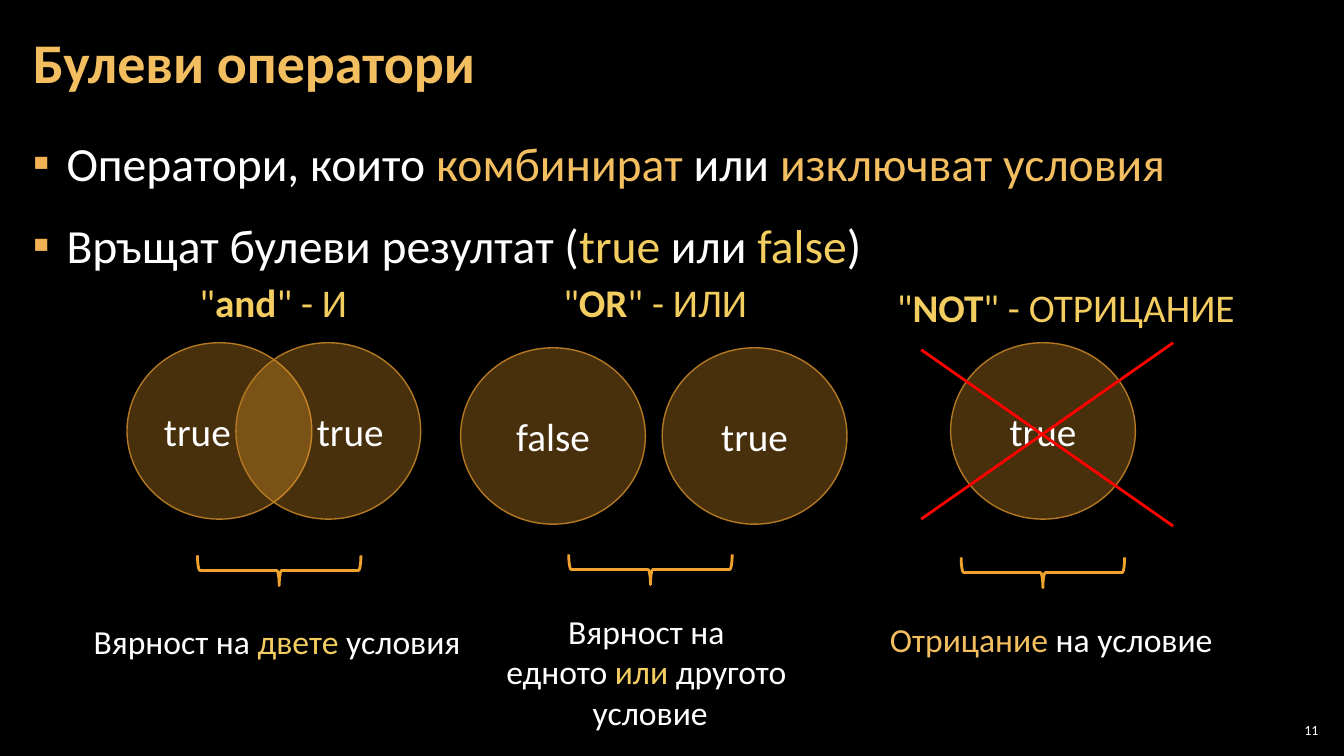
from pptx import Presentation, util as u
from pptx.dml import color
from pptx.enum import shapes, text
from pptx.oxml import parse_xml
from pptx.oxml import ns

Pt = u.Pt
HUES = {
    "back": "000000", "white": "FFFFFF", "gold": "F3BE60", "lemon": "F3CD60",
    "mark": "F2B254", "amber": "F0A22E", "rim": "B27822", "red": "FF0000",
}
LEFT, MID, RIGHT = (text.PP_ALIGN.LEFT, text.PP_ALIGN.CENTER, text.PP_ALIGN.RIGHT)
SHAPE = shapes.MSO_SHAPE


def rgb(name):
    return color.RGBColor.from_string(HUES[name])


def node(tag, inner="", **attrs):
    pairs = "".join(f' {key}="{val}"' for key, val in attrs.items())
    return parse_xml(f"<a:{tag} {ns.nsdecls('a')}{pairs}>{inner}</a:{tag}>")


class Deck:
    """Style and current slide; all lengths are in points."""
    font = "Calibri"

    def __init__(self, wide, high):
        self.prs = Presentation()
        self.prs.slide_width, self.prs.slide_height = Pt(wide), Pt(high)
        self.slide = self.prs.slides.add_slide(self.prs.slide_layouts[1])
        self.slide.background.fill.solid()
        self.slide.background.fill.fore_color.rgb = rgb("back")

    def fill_text(self, frame, lines, size, align=LEFT):
        """Each line is a list of (words, hue) or (words, hue, bold)."""
        frame.text = "\n".join("" for _ in lines)
        for par, line in zip(frame.paragraphs, lines):
            par.alignment = align
            for words, hue, *bold in line:
                run = par.add_run()
                run.text = words
                run.font.name, run.font.size = self.font, Pt(size)
                run.font.bold = bool(bold and bold[0])
                run.font.color.rgb = rgb(hue)

    def inset(self, frame, side, edge):
        frame.margin_left = frame.margin_right = Pt(side)
        frame.margin_top = frame.margin_bottom = Pt(edge)

    def holder(self, spot, box, lines, size):
        item = self.slide.placeholders[spot]
        item.left, item.top, item.width, item.height = map(Pt, box)
        frame = item.text_frame
        frame.auto_size = text.MSO_AUTO_SIZE.NONE
        frame.word_wrap = True
        self.inset(frame, 8.5, 2.83)
        self.fill_text(frame, lines, size)
        return frame

    def title(self, box, words):
        frame = self.holder(0, box, [[(words, "gold", True)]], 40)
        frame.vertical_anchor = text.MSO_ANCHOR.MIDDLE
        frame.paragraphs[0].line_spacing = 0.9

    def bullets(self, box, lines):
        frame = self.holder(1, box, lines, 34)
        frame.vertical_anchor = text.MSO_ANCHOR.TOP
        for par in frame.paragraphs:
            par.line_spacing = 1.15
            par.space_before = par.space_after = Pt(6)
            props = par._p.get_or_add_pPr()
            props.set("marL", str(Pt(24)))
            props.set("indent", str(Pt(-24)))
            props.append(node("buClr", f'<a:srgbClr val="{HUES["mark"]}"/>'))
            props.append(node("buFont", typeface=self.font))
            props.append(node("buChar", char="▪"))

    def label(self, box, lines, size, align=LEFT):
        item = self.slide.shapes.add_textbox(*map(Pt, box))
        frame = item.text_frame
        frame.word_wrap = False
        frame.auto_size = text.MSO_AUTO_SIZE.SHAPE_TO_FIT_TEXT
        self.fill_text(frame, lines, size, align)

    def number(self, box, words):
        frame = self.slide.shapes.add_textbox(*map(Pt, box)).text_frame
        frame.word_wrap = True
        frame.vertical_anchor = text.MSO_ANCHOR.MIDDLE
        self.inset(frame, 2.83, 2.83)
        self.fill_text(frame, [[(words, "white")]], 10, RIGHT)

    def shape(self, kind, box, hue, thick):
        item = self.slide.shapes.add_shape(kind, *map(Pt, box))
        item.shadow.inherit = False
        item.line.color.rgb, item.line.width = rgb(hue), Pt(thick)
        return item

    def circle(self, left, top, words, align):
        item = self.shape(SHAPE.OVAL, (left, top, 132, 126), "rim", 1)
        item.fill.solid()
        item.fill.fore_color.rgb = rgb("amber")
        tint = item._element.spPr.find(ns.qn("a:solidFill"))[0]
        tint.append(node("alpha", val=30000))
        item.text_frame.vertical_anchor = text.MSO_ANCHOR.MIDDLE
        self.fill_text(item.text_frame, [[(words, "white")]], 28, align)

    def brace(self, mid_x, mid_y):
        wide, high = 21.6, 116.8
        box = (mid_x - wide / 2, mid_y - high / 2, wide, high)
        item = self.shape(SHAPE.RIGHT_BRACE, box, "amber", 2)
        item.fill.background()
        item.rotation = 90

    def stroke(self, *ends):
        item = self.slide.shapes.add_connector(
            shapes.MSO_CONNECTOR.STRAIGHT, *map(Pt, ends))
        item.line.color.rgb, item.line.width = rgb("red"), Pt(2)
        item._element.spPr.append(node("effectLst"))


def head(name, rest):
    return [[('"', "lemon"), (name, "lemon", True), ('" - ' + rest, "lemon")]]


def main():
    deck = Deck(960, 540)

    # Title, list and page number
    deck.number((910.8, 514, 33.8, 15), "11")
    deck.bullets((15, 86.4, 929.5, 438.5), [
        [("Оператори, които ", "white"), ("комбинират", "gold"),
         (" или ", "white"), ("изключват условия", "gold")],
        [("Връщат булеви резултат (", "white"), ("true", "lemon"),
         (" или ", "white"), ("false", "lemon"), (")", "white")],
    ])
    deck.title((15, 3, 754, 87), "Булеви оператори")

    # One column per operator: heading, circles, brace, caption
    columns = [
        ((135.4, 195, 121.7, 41), head("and", "И"),
         [(90.7, 244.8, "true", LEFT), (168.5, 244.8, "true", RIGHT)],
         (199.4, 407.5), (59.8, 440, 278.6, 36), LEFT,
         [[("Вярност на ", "white"), ("двете", "lemon"), (" условия", "white")]]),
        ((395.3, 195, 147.6, 41), head("OR", "ИЛИ"),
         [(329, 248.4, "false", MID), (473, 248.4, "true", MID)],
         (464.6, 406.8), (353.5, 432.7, 221.8, 94.3), MID,
         [[("Вярност на ", "white")],
          [("едното ", "white"), ("или", "lemon"), (" другото ", "white")],
          [("условие", "white")]]),
        ((633.6, 198.7, 258.5, 41), head("NOT", "ОТРИЦАНИЕ"),
         [(679, 244.8, "true", MID)],
         (744.9, 409), (628.6, 438.5, 247.7, 36), LEFT,
         [[("Отрицание", "gold"), (" на условие", "white")]]),
    ]
    for top_box, name, rings, mid, low_box, align, lines in columns:
        for ring in rings:
            deck.circle(*ring)
        deck.label(top_box, name, 28)
        deck.brace(*mid)
        deck.label(low_box, lines, 24, align)

    # Red cross over the negated value
    deck.stroke(838, 244.8, 658, 370.8)
    deck.stroke(838, 375.8, 658, 249.8)

    deck.prs.save("out.pptx")


if __name__ == "__main__":
    main()
